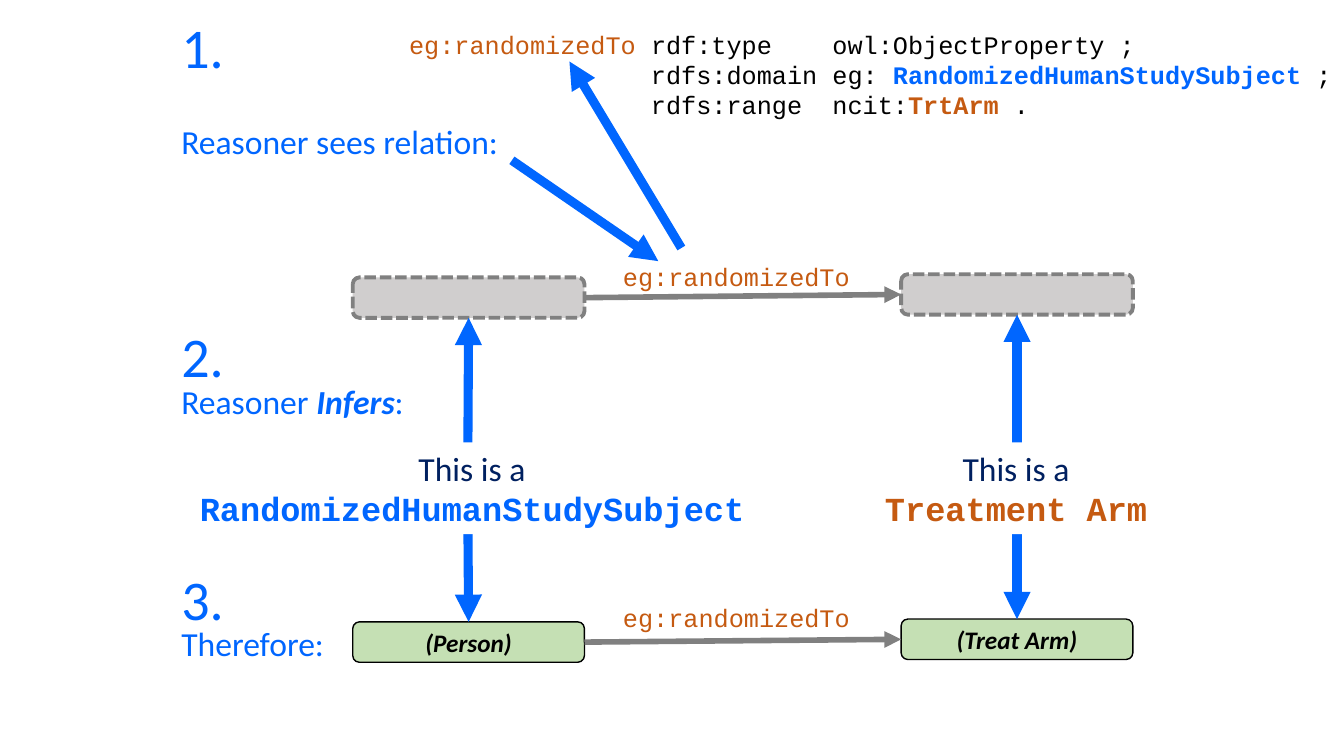
from pptx import Presentation
from pptx.dml.color import RGBColor
from pptx.enum.dml import MSO_LINE
from pptx.enum.shapes import MSO_CONNECTOR, MSO_SHAPE
from pptx.enum.text import MSO_ANCHOR, PP_ALIGN
from pptx.oxml.ns import qn
from pptx.util import Cm, Pt
from lxml.etree import SubElement

BLUE = RGBColor(0x00, 0x66, 0xFF)
NAVY = RGBColor(0x00, 0x20, 0x60)
RUST = RGBColor(0xC5, 0x5A, 0x11)
GREEN = RGBColor(0xC5, 0xE0, 0xB4)
SILVER = RGBColor(0xD0, 0xCE, 0xCE)
GRAY = RGBColor(0x80, 0x80, 0x80)
BLACK = RGBColor(0x00, 0x00, 0x00)
WHITE = RGBColor(0xFF, 0xFF, 0xFF)
SANS = "Calibri"
MONO = "Courier New"

deck = Presentation()
deck.slide_width = Cm(33.87)
deck.slide_height = Cm(19.05)
slide = deck.slides.add_slide(deck.slide_layouts[6])
shapes = slide.shapes


def add_text(left, top, width, height, size, lines):
    """Add a text box; each line is a list of (text, font, color, style) runs, style "b" and/or "i"."""
    box = shapes.add_textbox(Cm(left), Cm(top), Cm(width), Cm(height))
    frame = box.text_frame
    frame.word_wrap = True
    for i, line in enumerate(lines):
        para = frame.add_paragraph() if i else frame.paragraphs[0]
        for text, face, color, style in line:
            run = para.add_run()
            run.text = text
            run.font.name = face
            run.font.size = Pt(size)
            run.font.color.rgb = color
            run.font.bold = "b" in style
            run.font.italic = "i" in style
    return box


def add_arrow(start, end, color, width):
    """Add an arrow; each end is an (x, y) point or a (shape, site) joint."""
    line = shapes.add_connector(MSO_CONNECTOR.STRAIGHT, 0, 0, 0, 0)
    if isinstance(start[0], float):
        line.begin_x, line.begin_y = Cm(start[0]), Cm(start[1])
    else:
        line.begin_connect(*start)
    if isinstance(end[0], float):
        line.end_x, line.end_y = Cm(end[0]), Cm(end[1])
    else:
        line.end_connect(*end)
    line.line.color.rgb = color
    line.line.width = Pt(width)
    SubElement(line.line._get_or_add_ln(), qn("a:tailEnd"), type="triangle")
    SubElement(line._element.spPr, qn("a:effectLst"))


# Unknown nodes above, inferred nodes below
nodes = []
for left, top, label in (
    (8.89, 6.99, ""),
    (22.71, 6.91, ""),
    (8.89, 15.67, "(Person)"),
    (22.71, 15.6, "(Treat Arm)"),
):
    node = shapes.add_shape(MSO_SHAPE.ROUNDED_RECTANGLE, Cm(left), Cm(top), Cm(5.84), Cm(1.02))
    node.shadow.inherit = False
    node.fill.solid()
    node.fill.fore_color.rgb = GREEN if label else SILVER
    node.line.color.rgb = BLACK if label else GRAY
    node.line.width = Pt(1 if label else 2.75)
    nodes.append(node)
    if not label:
        node.line.dash_style = MSO_LINE.SQUARE_DOT
        continue
    node.text_frame.text = label
    node.text_frame.vertical_anchor = MSO_ANCHOR.MIDDLE
    para = node.text_frame.paragraphs[0]
    para.alignment = PP_ALIGN.CENTER
    font = para.runs[0].font
    font.name, font.size = SANS, Pt(18)
    font.bold = font.italic = True
    font.color.rgb = BLACK

# Relations between nodes
for source, target, top in ((nodes[0], nodes[1], 6.45), (nodes[2], nodes[3], 15.06)):
    add_arrow((source, 3), (target, 1), GRAY, 4)
    add_text(15.45, top, 6.55, 1.02, 18, [[("eg:randomizedTo", MONO, RUST, "")]])

# Ontology statement
indent = " " * len("eg:randomizedTo ")
add_text(10.06, 0.61, 25.35, 3.33, 18, [
    [("eg:randomizedTo ", MONO, RUST, ""),
     ("rdf:type    owl:ObjectProperty ;", MONO, BLACK, "")],
    [(indent + "rdfs:domain eg: ", MONO, BLACK, ""),
     ("RandomizedHumanStudySubject ", MONO, BLUE, "b"),
     (";", MONO, BLACK, "")],
    [(indent + "rdfs:range  ncit:", MONO, BLACK, ""),
     ("TrtArm", MONO, RUST, "b"),
     (" .", MONO, BLACK, "")],
])
add_arrow((12.9, 4.04), (16.59, 6.58), BLUE, 6.5)
add_arrow((17.17, 6.25), (14.35, 1.55), BLUE, 6.5)

# Numbered steps
for number, top, width, below, runs in (
    ("1.", 0.18, 8.59, 2.92, [("Reasoner sees relation:", "")]),
    ("2.", 7.98, 6.12, 9.47, [("Reasoner ", ""), ("Infers", "bi"), (":", "")]),
    ("3.", 14.1, 4.14, 15.57, [("Therefore:", "")]),
):
    add_text(4.32, top, 1.83, 1.96, 40, [[(number, SANS, BLUE, "")]])
    add_text(4.32, below, width, 1.27, 24, [[(text, SANS, BLUE, style) for text, style in runs]])

# Inferred classes, each covering the tails of its two arrows
for x, left, width, name, color, upper, lower in (
    (11.79, 4.72, 14.35, "RandomizedHumanStudySubject", BLUE, nodes[0], nodes[2]),
    (25.63, 21.92, 7.37, "Treatment Arm", RUST, nodes[1], nodes[3]),
):
    add_arrow((x, 11.38), (upper, 2), BLUE, 6.5)
    add_arrow((x, 13.03), (lower, 0), BLUE, 6.5)
    box = add_text(left, 11.15, width, 2.31, 24, [
        [("This is a", SANS, NAVY, "")],
        [(name, MONO, color, "b")],
    ])
    box.fill.solid()
    box.fill.fore_color.rgb = WHITE
    for para in box.text_frame.paragraphs:
        para.alignment = PP_ALIGN.CENTER

deck.save("out.pptx")
